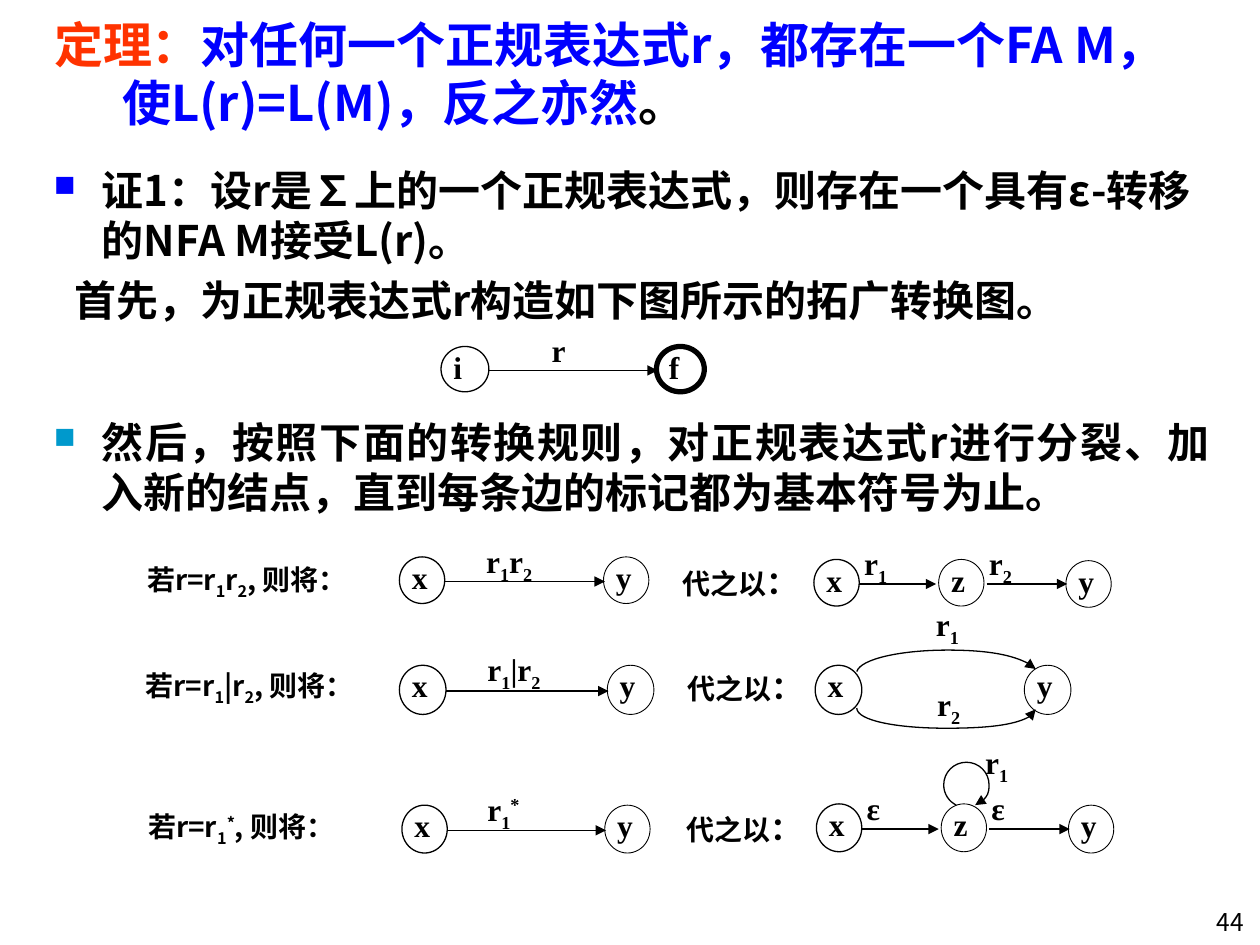
from typing import NamedTuple, Optional, Sequence

from lxml.etree import SubElement
from pptx import Presentation
from pptx.dml.color import RGBColor
from pptx.enum.shapes import MSO_CONNECTOR, MSO_SHAPE
from pptx.enum.text import MSO_ANCHOR, PP_ALIGN
from pptx.oxml.ns import qn
from pptx.util import Inches, Pt

BLACK = RGBColor(0x00, 0x00, 0x00)
WHITE = RGBColor(0xFF, 0xFF, 0xFF)
BLUE = RGBColor(0x00, 0x00, 0xFF)
RED = RGBColor(0xFF, 0x33, 0x00)
TEAL = RGBColor(0x00, 0x99, 0xCC)
SANS = "Noto Sans CJK SC"
SERIF = "Times New Roman"
SHIFT = {"_": -25000, "^": 30000}
LEAD = 1.21
GAP = {"z": 0.02}


class Node(NamedTuple):
    name: str
    x: float
    y: float
    w: float = 0.36
    h: float = 0.38
    line: float = 0.75


class Edge(NamedTuple):
    start: Node
    end: Node
    label: Sequence[str]
    dx: float = 0.3
    w: float = 0.59


class Curve(NamedTuple):
    """Cubic pieces: a start point, then three points for each piece."""
    points: Sequence[tuple]
    label: Sequence[str]
    x: float
    y: float
    w: float = 0.47


class Rule(NamedTuple):
    lead: Sequence[str]
    x: float
    y: float
    w: float
    then_x: float
    then_y: float


def style(run, size: float, font: str = SANS, color: RGBColor = BLACK, bold: bool = True) -> None:
    run.font.size, run.font.name, run.font.bold = Pt(size), font, bold
    run.font.color.rgb = color
    SubElement(run.font._element, qn("a:ea")).set("typeface", SANS)


def write(para, parts: Sequence[str], size: float, font: str = SANS) -> None:
    """Add runs; a leading _ lowers a part and a leading ^ raises it."""
    for part in parts:
        run = para.add_run()
        run.text = part[1:] if part[0] in SHIFT else part
        style(run, size, font)
        if part[0] in SHIFT:
            run.font._element.set("baseline", str(SHIFT[part[0]]))


def indent(para, left: float, hang: float = 0, dot: Optional[RGBColor] = None) -> None:
    props = para._p.get_or_add_pPr()
    props.set("marL", str(Inches(left)))
    props.set("indent", str(-Inches(hang)))
    if dot is not None:
        color = SubElement(SubElement(props, qn("a:buClr")), qn("a:srgbClr"))
        color.set("val", str(dot))
        SubElement(props, qn("a:buSzPct")).set("val", "70000")
        SubElement(props, qn("a:buChar")).set("char", "■")


def box(x: float, y: float, w: float, h: float, top: float = 0.05):
    frame = slide.shapes.add_textbox(Inches(x), Inches(y), Inches(w), Inches(h)).text_frame
    frame.word_wrap = True
    frame.margin_top = Inches(top)
    return frame


def body(para, text: str) -> None:
    para.text = text
    para.line_spacing = Pt(24 * LEAD)
    style(para.runs[0], 24)


def label(x: float, y: float, w: float, parts: Sequence[str]) -> None:
    write(box(x, y, w, 0.44).paragraphs[0], parts, 18, SERIF)


def head(shape) -> None:
    SubElement(shape.line._get_or_add_ln(), qn("a:tailEnd")).set("type", "triangle")


def draw_node(node: Node) -> None:
    shape = slide.shapes.add_shape(
        MSO_SHAPE.OVAL, Inches(node.x), Inches(node.y), Inches(node.w), Inches(node.h))
    shape.shadow.inherit = False
    shape.fill.solid()
    shape.fill.fore_color.rgb = WHITE
    shape.line.color.rgb = BLACK
    shape.line.width = Pt(node.line)
    para = box(node.x, node.y - 0.04, node.w + 0.08, node.h + 0.09).paragraphs[0]
    para.alignment = PP_ALIGN.JUSTIFY
    write(para, [node.name], 18, SERIF)


def draw_edge(edge: Edge) -> None:
    a, b = edge.start, edge.end
    y = Inches(a.y + a.h / 2 + 0.01)
    line = slide.shapes.add_connector(
        MSO_CONNECTOR.STRAIGHT, Inches(a.x + a.w + GAP.get(a.name, 0)), y,
        Inches(b.x - GAP.get(b.name, -0.01)), y)
    line.line.color.rgb = BLACK
    line.line.width = Pt(0.75)
    head(line)
    SubElement(line._element.spPr, qn("a:effectLst"))
    label(a.x + edge.dx, a.y - 0.17, edge.w, edge.label)


def draw_curve(curve: Curve) -> None:
    first, *rest = [(Inches(x), Inches(y)) for x, y in curve.points]
    pen = slide.shapes.build_freeform(*first)
    pen.add_line_segments(rest, close=False)
    shape = pen.convert_to_shape()
    steps = list(shape._element.iter(qn("a:lnTo")))
    for k in range(0, len(steps), 3):
        bend, *others = steps[k:k + 3]
        cubic = bend.getparent().makeelement(qn("a:cubicBezTo"))
        bend.addprevious(cubic)
        for step in (bend, *others):
            cubic.append(step[0])
            step.getparent().remove(step)
    shape.shadow.inherit = False
    shape.fill.background()
    shape.line.color.rgb = BLACK
    shape.line.width = Pt(0.75)
    head(shape)
    label(curve.x, curve.y, curve.w, curve.label)


def draw_rule(rule: Rule) -> None:
    para = box(rule.x, rule.y, rule.w, 0.37, 0.08).paragraphs[0]
    para.line_spacing = Pt(16 * LEAD)
    write(para, rule.lead, 16)
    para = box(rule.then_x, rule.then_y, 1.2, 0.44).paragraphs[0]
    para.line_spacing = Pt(18 * LEAD)
    write(para, ["代之以"], 16, SERIF)
    write(para, ["："], 18, SERIF)


deck = Presentation()
deck.slide_width, deck.slide_height = Inches(10), Inches(7.5)
slide = deck.slides.add_slide(deck.slide_layouts[5])

title = slide.shapes.title
title.left, title.top, title.width, title.height = map(Inches, (0.33, 0.17, 9.42, 0.8))
title.text_frame.vertical_anchor = MSO_ANCHOR.MIDDLE
title.text_frame.margin_top = Inches(0.08)
para = title.text_frame.paragraphs[0]
para.alignment = PP_ALIGN.LEFT
para.line_spacing = Pt(33)
indent(para, 0.54, 0.54)
for text, color in (("定理：", RED), ("对任何一个正规表达式r，都存在一个FA M，", BLUE),
                    ("使L(r)=L(M)，反之亦然", BLUE), ("。", BLACK)):
    if text.startswith("使"):
        para.add_line_break()
    run = para.add_run()
    run.text = text
    style(run, 28, color=color)

frame = box(0.33, 1.25, 9.37, 1.5)
indent(frame.paragraphs[0], 0.38, 0.38, BLUE)
body(frame.paragraphs[0], "证1：设r是∑上的一个正规表达式，则存在一个具有ε-转移的NFA M接受L(r)。")
first = frame.add_paragraph()
indent(first, 0.16)
first.space_before = Pt(4.8)
body(first, "首先，为正规表达式r构造如下图所示的拓广转换图。")
then = box(0.33, 3.25, 9.37, 0.92).paragraphs[0]
indent(then, 0.38, 0.38, TEAL)
then.alignment = PP_ALIGN.JUSTIFY
body(then, "然后，按照下面的转换规则，对正规表达式r进行分裂、加入新的结点，直到每条边的标记都为基本符号为止。")

nodes = [Node("i", 3.5, 2.75, 0.38, 0.36), Node("f", 5.21, 2.75, 0.38, 0.36, 3)]
for left, right, top, w, h in ((3.17, 4.79, 4.42, 0.36, 0.37), (3.17, 4.82, 5.28, 0.37, 0.39),
                               (3.19, 4.8, 6.39, 0.36, 0.38), (6.47, 8.13, 5.28, 0.37, 0.39)):
    nodes += [Node("x", left, top, w, h), Node("y", right, top, w, h, 0.5)]
for left, top, h in ((6.46, 4.44, 0.37), (6.48, 6.38, 0.38)):
    nodes += [Node("x", left, top, h=h), Node("z", left + 0.99, top, h=h, line=0.5),
              Node("y", left + 2, top + 0.01, h=h, line=0.5)]
i, f, x1, y1, x2, y2, x3, y3, _, _, u1, z1, v1, u3, z3, v3 = nodes
edges = [Edge(i, f, ["r"], 0.78, 0.42), Edge(x1, y1, ["r", "_1", "r", "_2"], 0.59, 0.8),
         Edge(x2, y2, ["r", "_1", "|r", "_2"], 0.6, 0.82),
         Edge(x3, y3, ["r", "_1", "^*"], 0.58, 0.8),
         Edge(u1, z1, ["r", "_1"]), Edge(z1, v1, ["r", "_2"]),
         Edge(u3, z3, ["ε"]), Edge(z3, v3, ["ε"])]
curves = [
    Curve([(6.8, 5.33), (6.83, 5.23), (7.15, 5.16), (7.52, 5.16),
           (7.85, 5.16), (8.14, 5.22), (8.22, 5.31)], ["r", "_1"], 7.33, 4.75),
    Curve([(6.8, 5.62), (6.8, 5.72), (7.12, 5.78), (7.51, 5.78),
           (7.9, 5.78), (8.22, 5.72), (8.22, 5.63)], ["r", "_2"], 7.34, 5.39),
    Curve([(7.59, 6.39), (7.53, 6.36), (7.49, 6.3), (7.49, 6.23), (7.49, 6.13), (7.57, 6.05),
           (7.67, 6.05), (7.77, 6.05), (7.85, 6.13), (7.85, 6.23), (7.85, 6.3), (7.81, 6.37),
           (7.74, 6.39)], ["r", "_1"], 7.72, 5.85, 0.59)]
rules = [Rule(["若r=r", "_1", "r", "_2", ", 则将："], 1.07, 4.42, 1.93, 5.32, 4.42),
         Rule(["若r=r", "_1", "|r", "_2", ", 则将："], 1.06, 5.26, 2.04, 5.36, 5.25),
         Rule(["若r=r", "_1", "^*", ", 则将："], 1.08, 6.38, 1.81, 5.35, 6.37)]
for draw, items in ((draw_node, nodes), (draw_edge, edges),
                    (draw_curve, curves), (draw_rule, rules)):
    for item in items:
        draw(item)

para = box(9.18, 7.15, 0.79, 0.3).paragraphs[0]
para.text = "44"
para.alignment = PP_ALIGN.RIGHT
para.line_spacing = Pt(17)
style(para.runs[0], 14, bold=False)

deck.save("out.pptx")
